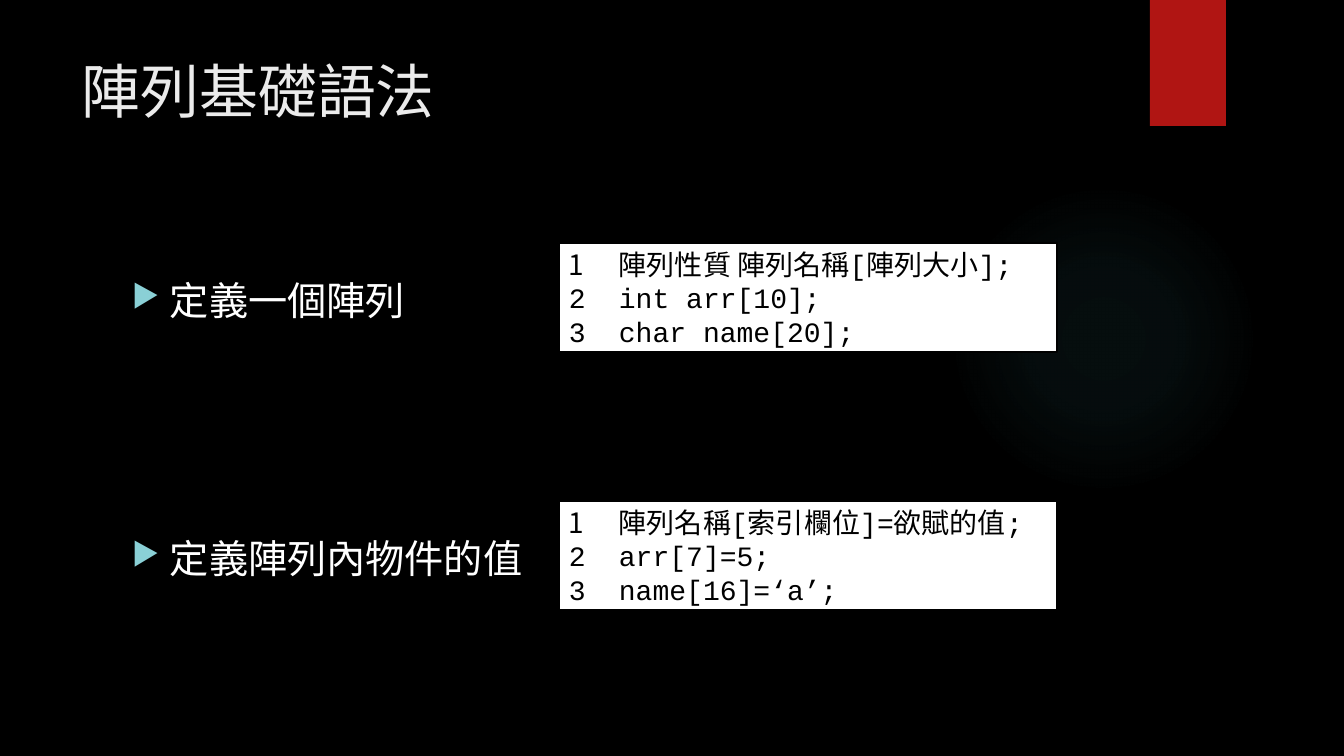
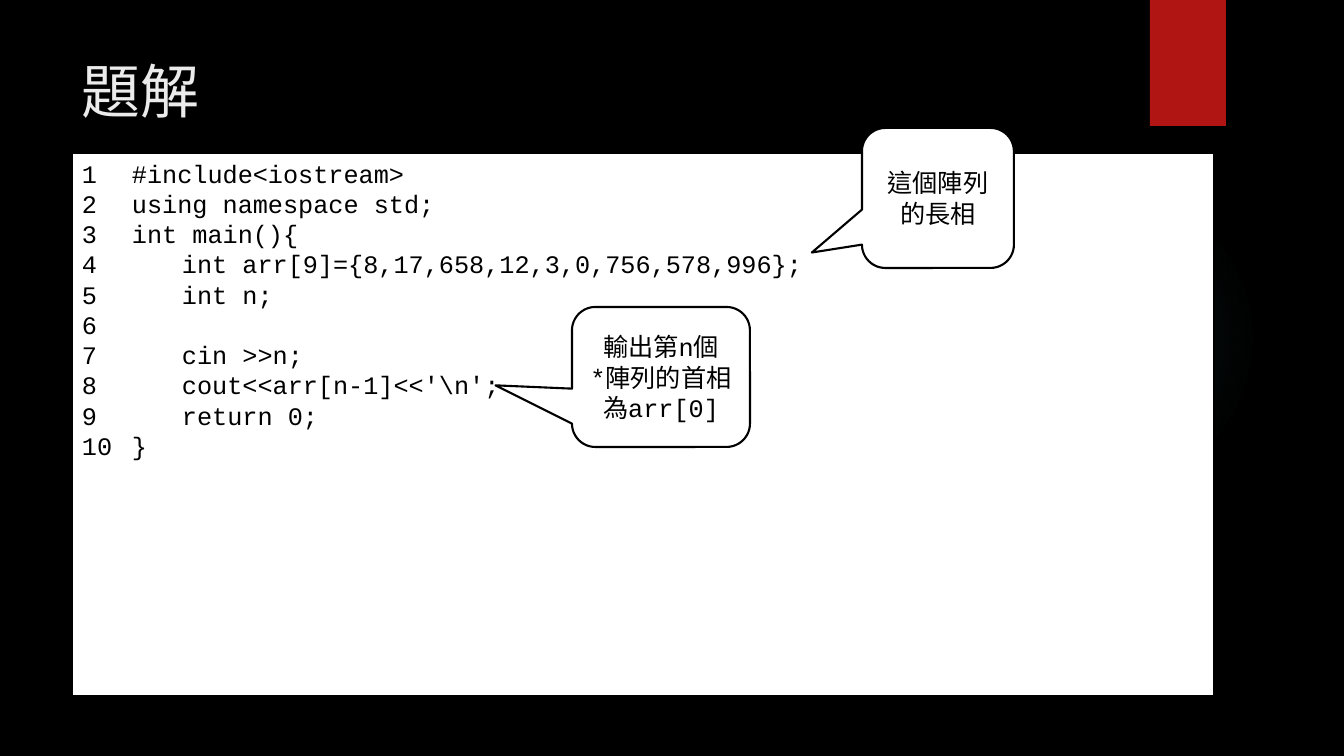
from lxml.etree import SubElement
from pptx import Presentation
from pptx.dml.color import RGBColor
from pptx.enum.lang import MSO_LANGUAGE_ID as Language
from pptx.enum.shapes import MSO_SHAPE as Shape
from pptx.enum.text import MSO_ANCHOR as Anchor, PP_ALIGN as Align
from pptx.oxml import parse_xml
from pptx.oxml.ns import nsdecls, qn
from pptx.util import Pt

WIDTH, HEIGHT = 1344, 756
SCALE = 12192000 / WIDTH
COLORS = {
    "background": "000000",
    "title": "EBEBEB",
    "body": "FFFFFF",
    "panel": "FFFFFF",
    "ink": "000000",
    "ribbon": "B01513",
    "glow": "50B9C1",
    "bullet": "8AD0D6",
}
HEADING_FONT, CODE_FONT = "League Spartan", "Courier New"
GLOW_STOPS = [(0, 7), (36, 6), (69, 0)]
CODE_INDENT, BULLET_INDENT = 50, 38


def px(length):
    return round(length * SCALE)


def color(name):
    return RGBColor.from_string(COLORS[name])


def hang(para, indent):
    properties = para._p.get_or_add_pPr()
    properties.set("marL", str(px(indent)))
    properties.set("indent", str(-px(indent)))
    return properties


class Deck:
    def __init__(self):
        self.file = Presentation()
        self.file.slide_width, self.file.slide_height = px(WIDTH), px(HEIGHT)
        self.page = None

    def add_page(self, title):
        self.page = self.file.slides.add_slide(self.file.slide_layouts[6])
        fill = self.page.background.fill
        fill.solid()
        fill.fore_color.rgb = color("background")
        self.glow(949, 184, 310)
        self.shape(Shape.RECTANGLE, (1150, 0, 76, 126), "ribbon")
        self.text((72, 50, 1037, 100), title, 42, "title")

    def shape(self, kind, place, fill, border=None):
        box = self.page.shapes.add_shape(kind, *map(px, place))
        box.shadow.inherit = False
        box.fill.solid()
        box.fill.fore_color.rgb = color(fill)
        if border:
            box.line.color.rgb = color(border)
            box.line.width = Pt(1.5)
        else:
            box.line.fill.background()
        return box

    def glow(self, left, top, size):
        box = self.shape(Shape.OVAL, (left, top, size, size), "glow")
        stops = "".join(
            f'<a:gs pos="{position * 1000}"><a:srgbClr val="{COLORS["glow"]}">'
            f'<a:alpha val="{alpha * 1000}"/></a:srgbClr></a:gs>'
            for position, alpha in GLOW_STOPS
        )
        gradient = parse_xml(
            f'<a:gradFill {nsdecls("a")} rotWithShape="1"><a:gsLst>{stops}</a:gsLst>'
            '<a:path path="circle"><a:fillToRect l="50000" t="50000" r="50000" b="50000"/>'
            "</a:path></a:gradFill>"
        )
        properties = box.element.spPr
        properties.replace(properties.find(qn("a:solidFill")), gradient)

    def set_text(self, box, text, size, ink, font, anchor, align=Align.LEFT):
        frame = box.text_frame
        frame.word_wrap = True
        frame.vertical_anchor = anchor
        frame.text = text
        for para in frame.paragraphs:
            para.alignment = align
            for span in para.runs:
                span.font.size = Pt(size)
                span.font.name = font
                span.font.color.rgb = color(ink)
                span.font.language_id = Language.TRADITIONAL_CHINESE
        return frame.paragraphs

    def text(self, place, text, size, ink, anchor=Anchor.TOP):
        box = self.page.shapes.add_textbox(*map(px, place))
        return self.set_text(box, text, size, ink, HEADING_FONT, anchor)

    def bullet(self, place, text):
        for para in self.text(place, text, 28, "body", Anchor.MIDDLE):
            properties = hang(para, BULLET_INDENT)
            tint = SubElement(properties, qn("a:buClr"))
            SubElement(tint, qn("a:srgbClr"), val=COLORS["bullet"])
            SubElement(properties, qn("a:buSzPct"), val="80000")
            SubElement(properties, qn("a:buChar"), char="▶")

    def code(self, place, lines, size, anchor):
        box = self.shape(Shape.RECTANGLE, place, "panel", "ink")
        return self.set_text(box, "\n".join(lines), size, "ink", CODE_FONT, anchor)

    def numbered_code(self, place, lines):
        for para in self.code(place, lines, 20, Anchor.MIDDLE):
            properties = hang(para, CODE_INDENT)
            SubElement(properties, qn("a:buFont"), typeface=CODE_FONT)
            SubElement(properties, qn("a:buAutoNum"), type="arabicPlain")

    def listing(self, place, lines):
        rows = [f"{number}\t{line}" if line else str(number)
                for number, line in enumerate(lines, 1)]
        for para in self.code(place, rows, 18, Anchor.TOP):
            tabs = SubElement(para._p.get_or_add_pPr(), qn("a:tabLst"))
            for step in (1, 2):
                SubElement(tabs, qn("a:tab"), pos=str(px(step * CODE_INDENT)), algn="l")

    def callout(self, place, tip, text, font):
        box = self.shape(Shape.ROUNDED_RECTANGULAR_CALLOUT, place, "panel", "ink")
        box.adjustments[0], box.adjustments[1] = tip
        self.set_text(box, text, 18, "ink", font, Anchor.MIDDLE, Align.CENTER)


def main():
    deck = Deck()

    deck.add_page("陣列基礎語法")
    syntax = [
        (243, "定義一個陣列",
         ["陣列性質 陣列名稱[陣列大小];", "int arr[10];", "char name[20];"]),
        (501, "定義陣列內物件的值",
         ["陣列名稱[索引欄位]=欲賦的值;", "arr[7]=5;", "name[16]=‘a’;"]),
    ]
    for top, label, lines in syntax:
        deck.bullet((122, top + 27, 430, 60), label)
        deck.numbered_code((559, top, 498, 109), lines)

    deck.add_page("題解")
    deck.listing((72, 153, 1142, 543), [
        "#include<iostream>",
        "using namespace std;",
        "int main(){",
        "\tint arr[9]={8,17,658,12,3,0,756,578,996};",
        "\tint n;",
        "",
        "\tcin >>n;",
        "\tcout<<arr[n-1]<<'\\n';",
        "\treturn 0;",
        "}",
    ])
    deck.callout((862, 128, 152, 140), (-0.83, 0.39), "這個陣列的長相", HEADING_FONT)
    deck.callout((572, 307, 178, 140), (-0.93, 0.06),
                 "輸出第n個\n*陣列的首相為arr[0]", CODE_FONT)

    deck.file.save("out.pptx")


if __name__ == "__main__":
    main()
